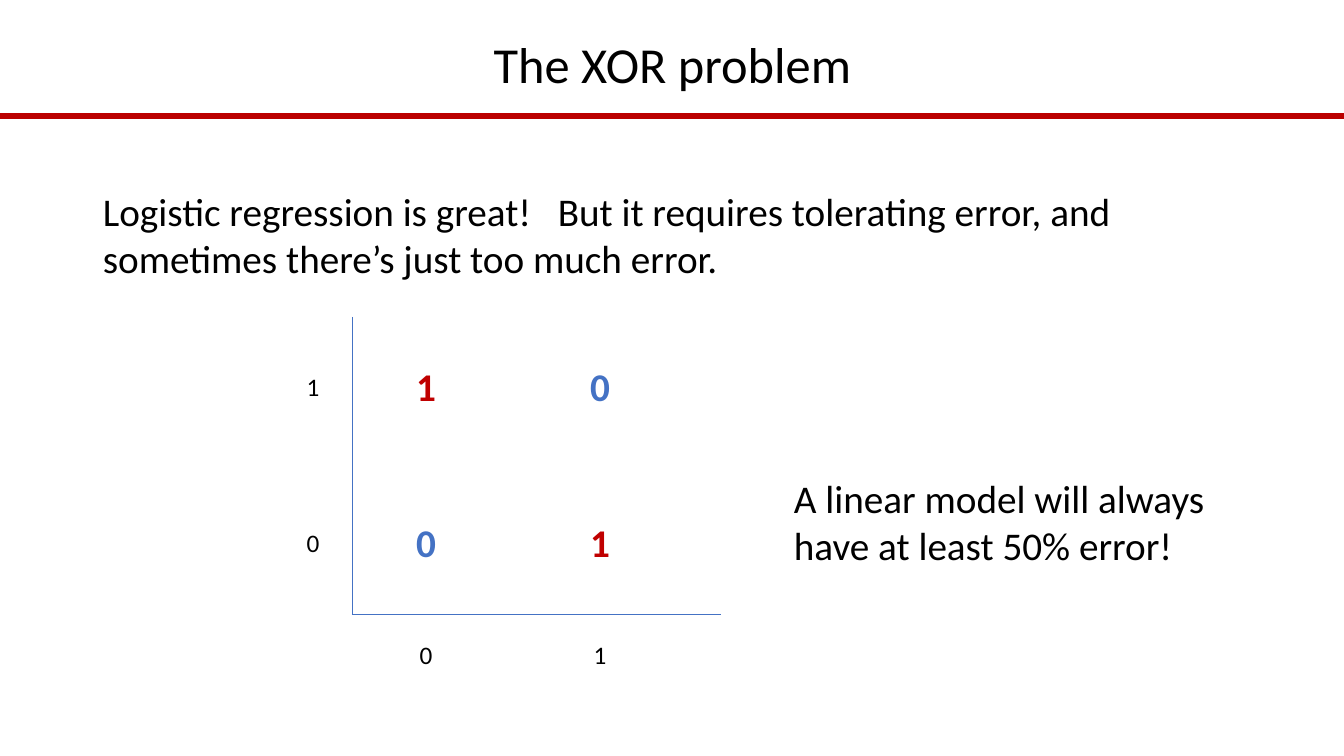
from lxml.etree import SubElement
from pptx import Presentation
from pptx.dml.color import RGBColor
from pptx.enum.shapes import MSO_CONNECTOR
from pptx.enum.text import MSO_ANCHOR, PP_ALIGN
from pptx.oxml.ns import qn
from pptx.util import Pt

PX = 9071.43  # EMU in one px
WIDE, HIGH = 1344, 756
FONT = "Calibri"
HUES = {"rule": "BB0000", "one": "C00000", "zero": "4472C4",
        "axis": "4472C4", "text": "000000"}

TITLE = "The XOR problem"
INTRO = ("Logistic regression is great!   But it requires tolerating error, "
         "and sometimes there’s just too much error.")
CLAIM = "A linear model will always have at least 50% error!"

# Centres of the plot's columns and rows, keyed by input value
COLS = {"0": 426, "1": 600}
ROWS = {"1": 386, "0": 542}
LEFT, TOP, RIGHT, BASE = 352, 317, 721, 614
TICK_X, TICK_Y = 313, 654


def emu(px):
    return round(px * PX)


def add_text(slide, text, box, size, hue="text", bold=False, align=PP_ALIGN.LEFT):
    frame = slide.shapes.add_textbox(*map(emu, box)).text_frame
    frame.word_wrap = True
    frame.text = text
    para = frame.paragraphs[0]
    para.alignment = align
    font = para.runs[0].font
    font.name, font.size, font.bold = FONT, Pt(size), bold
    font.color.rgb = RGBColor.from_string(HUES[hue])
    return frame


def add_mark(slide, text, x, y, size, hue="text", bold=False):
    """Centre one digit on the point x, y."""
    wide, high = 40, size * 2
    box = (x - wide // 2, y - high // 2, wide, high)
    frame = add_text(slide, text, box, size, hue, bold, PP_ALIGN.CENTER)
    frame.word_wrap = False
    frame.vertical_anchor = MSO_ANCHOR.MIDDLE


def add_line(slide, ends, hue, width):
    line = slide.shapes.add_connector(MSO_CONNECTOR.STRAIGHT, *map(emu, ends))
    line.line.color.rgb = RGBColor.from_string(HUES[hue])
    line.line.width = Pt(width)
    SubElement(line._element.spPr, qn("a:effectLst"))


def add_plot(slide):
    add_line(slide, (LEFT, TOP, LEFT, BASE), "axis", 0.5)
    add_line(slide, (LEFT, BASE, RIGHT, BASE), "axis", 0.5)
    for row, y in ROWS.items():
        add_mark(slide, row, TICK_X, y, 18)
        for col, x in COLS.items():
            same = row == col
            # The marks follow the slide's labelling of the four cells
            value = "1" if (row, col) in (("1", "0"), ("0", "1")) else "0"
            hue = "zero" if same else "one"
            add_mark(slide, value, x, y, 28, hue, True)
    for col, x in COLS.items():
        add_mark(slide, col, x, TICK_Y, 18)


def main():
    deck = Presentation()
    deck.slide_width, deck.slide_height = emu(WIDE), emu(HIGH)
    slide = deck.slides.add_slide(deck.slide_layouts[6])
    add_line(slide, (0, 116, WIDE, 116), "rule", 4)
    title = add_text(slide, TITLE, (93, 34, 1159, 67), 36, align=PP_ALIGN.CENTER)
    title.vertical_anchor = MSO_ANCHOR.MIDDLE
    title.paragraphs[0].line_spacing = 0.9
    add_text(slide, INTRO, (93, 182, 1159, 113), 28)
    add_plot(slide)
    add_text(slide, CLAIM, (784, 469, 499, 105), 28)
    deck.save("out.pptx")


if __name__ == "__main__":
    main()
